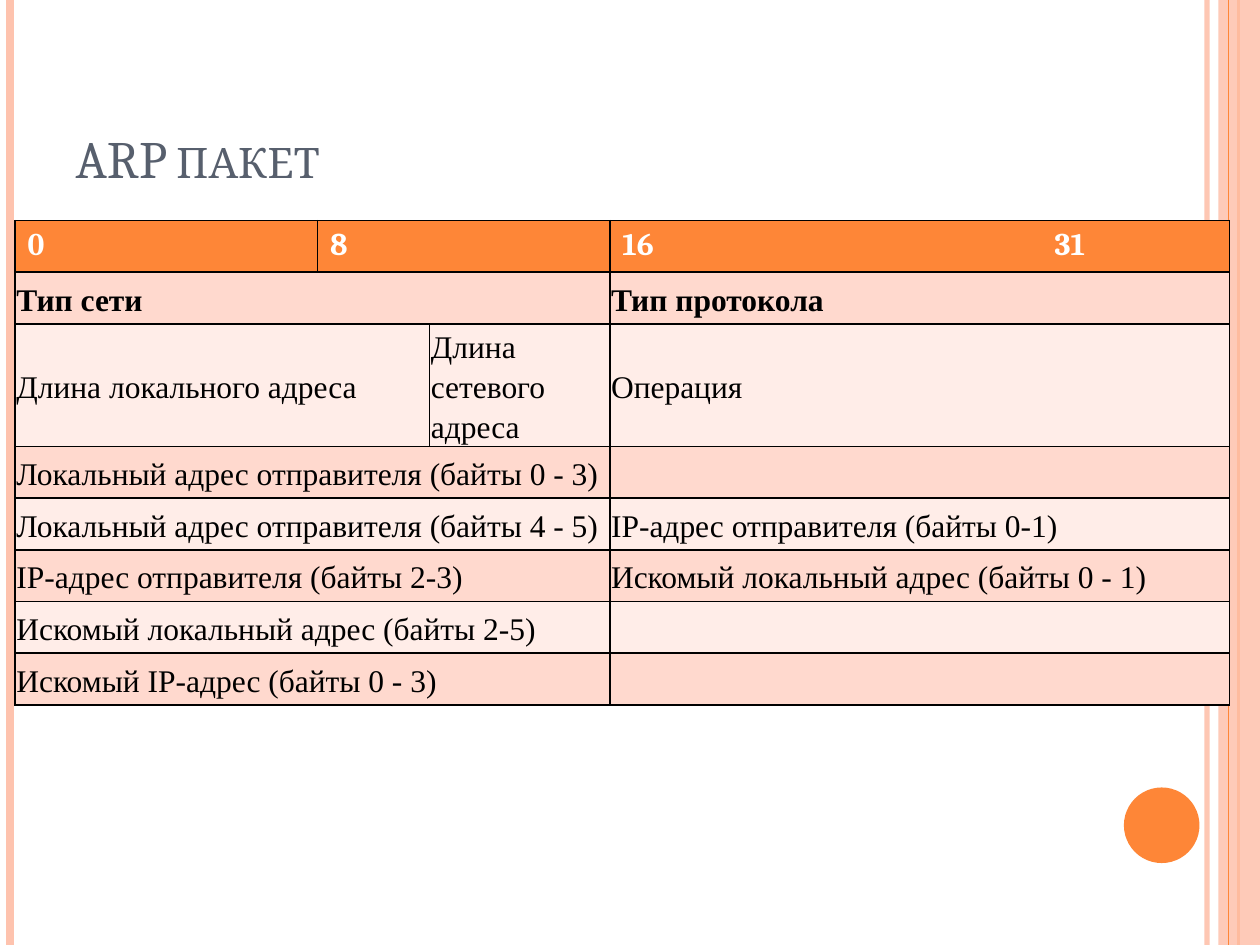
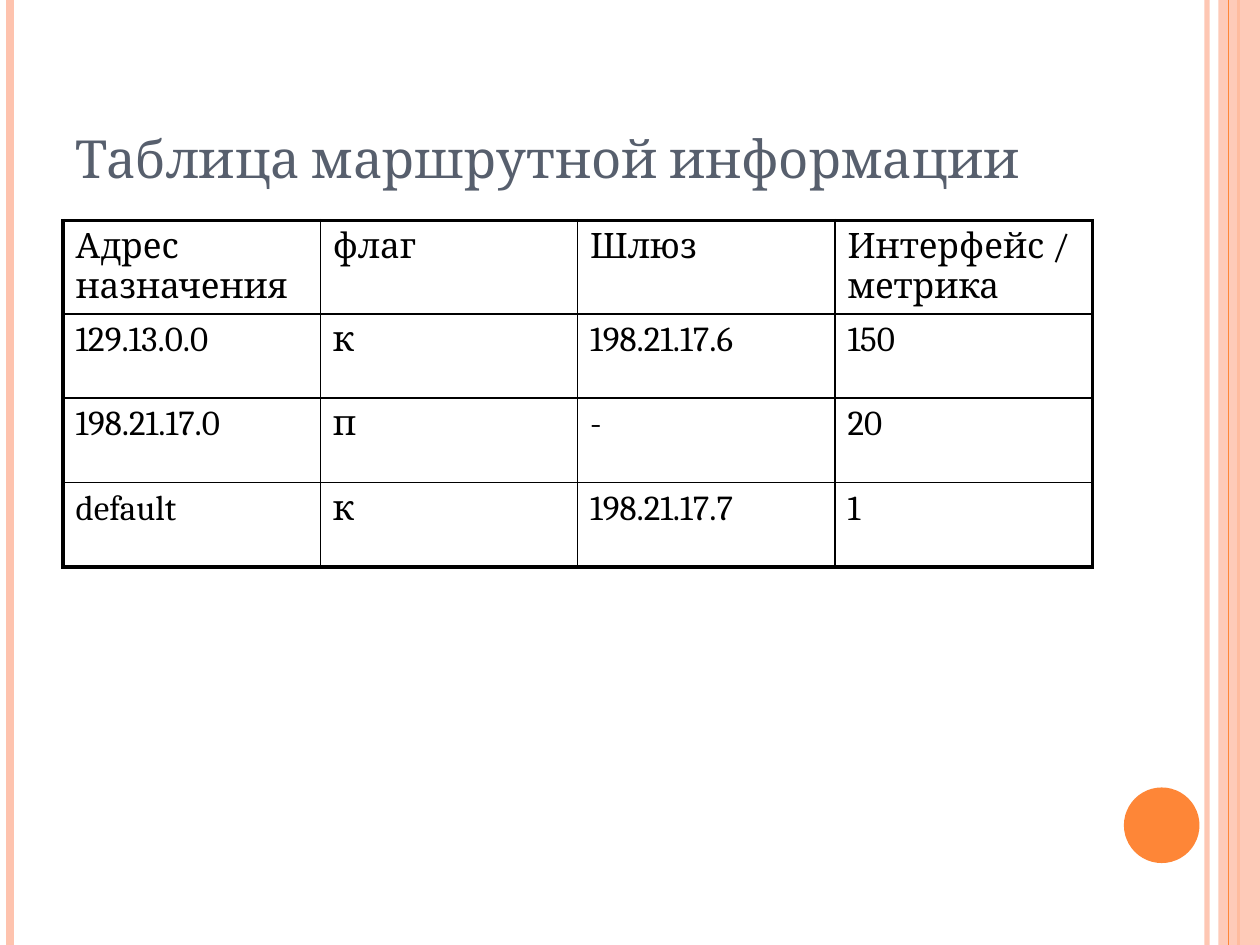
import dataclasses

import lxml.etree
import pptx
import pptx.dml.color
import pptx.enum.shapes
import pptx.enum.text
import pptx.oxml.ns
import pptx.util


@dataclasses.dataclass(frozen=True)
class Theme:
    accent: str = "FE8637"
    band: str = "FEC3AE"
    title: str = "575F6D"
    ink: str = "000000"
    paper: str = "FFFFFF"
    stripes: tuple = ("FFD9CE", "FFEDE8")
    heading_font: str = "Cambria"
    packet_font: str = "Times New Roman"
    title_size: int = 30
    packet_size: int = 18
    route_size: int = 20
    thin: float = 1
    thick: float = 2.25


THEME = Theme()
WIDTH, HEIGHT = 10, 7.5
TITLE_BOX = (0.5, 0.3, 8.17, 1.25)
TABLE_TOP = 1.75

VERTICAL_LINES = [
    (9.58, THEME.band, 3, 93),
    (0.08, THEME.band, 4.5, 100),
    (9.83, THEME.accent, 1.5, 100),
    (9.75, THEME.accent, 0.75, 100),
]
SIDE_BAND = (9.67, 0, 0.33, HEIGHT)
CIRCLE = (8.92, 6.25, 0.6, 0.6)

PACKET_TITLE = "ARP пакет"
PACKET_LEFT = 0.12
PACKET_COLUMNS = [2.4, 0.89, 1.43, 4.92]
PACKET_ROW, PACKET_TALL_ROW = 0.41, 0.97
BIT_31_TAB = 3.43
PACKET_ROWS = [
    [("0", 1), ("8", 2), ("16\t31", 1)],
    [("Тип сети", 3), ("Тип протокола", 1)],
    [("Длина локального адреса", 2), ("Длина сетевого адреса", 1), ("Операция", 1)],
    [("Локальный адрес отправителя (байты 0 - 3)", 3), ("", 1)],
    [("Локальный адрес отправителя (байты 4 - 5)", 3), ("IP-адрес отправителя (байты 0-1)", 1)],
    [("IP-адрес отправителя (байты 2-3)", 3), ("Искомый локальный адрес (байты 0 - 1)", 1)],
    [("Искомый локальный адрес (байты 2-5)", 3), ("", 1)],
    [("Искомый IP-адрес (байты 0 - 3)", 3), ("", 1)],
]

ROUTE_TITLE = "Таблица маршрутной информации"
ROUTE_ROW = 0.67
ROUTE_ROWS = [
    ["Адрес назначения", "флаг", "Шлюз", "Интерфейс /метрика"],
    ["129.13.0.0", "к", "198.21.17.6", "150"],
    ["198.21.17.0", "п", "-", "20"],
    ["default", "к", "198.21.17.7", "1"],
]


def inches(*lengths):
    return [pptx.util.Inches(length) for length in lengths]


def color(code):
    return pptx.dml.color.RGBColor.from_string(code)


def add_xml(parent, tag, **attributes):
    return lxml.etree.SubElement(parent, pptx.oxml.ns.qn(tag), attributes)


def set_opacity(shape, percent):
    for node in shape.element.spPr.iter(pptx.oxml.ns.qn("a:srgbClr")):
        add_xml(node, "a:alpha", val=str(percent * 1000))


def add_span(para, text, font, size, code, bold=False):
    span = para.add_run()
    span.text = text
    span.font.name = font
    span.font.size = pptx.util.Pt(size)
    span.font.bold = bold
    span.font.color.rgb = color(code)
    return span


def add_filled(page, kind, place, code):
    shape = page.shapes.add_shape(kind, *inches(*place))
    shape.shadow.inherit = False
    shape.fill.solid()
    shape.fill.fore_color.rgb = color(code)
    shape.line.fill.background()
    return shape


def add_vertical(page, x, code, weight, opacity):
    line = page.shapes.add_connector(
        pptx.enum.shapes.MSO_CONNECTOR.STRAIGHT, *inches(x, 0, x, HEIGHT))
    line.line.color.rgb = color(code)
    line.line.width = pptx.util.Pt(weight)
    add_xml(line.element.spPr, "a:effectLst")
    if opacity < 100:
        set_opacity(line, opacity)
    return line


def decorate_layout(layout, page):
    kinds = pptx.enum.shapes.MSO_SHAPE
    decor = [add_vertical(page, *line) for line in VERTICAL_LINES]
    band = add_filled(page, kinds.RECTANGLE, SIDE_BAND, THEME.band)
    set_opacity(band, 87)
    decor.insert(3, band)
    decor.append(add_filled(page, kinds.OVAL, CIRCLE, THEME.accent))
    for shape in decor:
        layout.shapes.element.append(shape.element)


def add_title(page, text, small_caps=False):
    box = page.shapes.title
    box.left, box.top, box.width, box.height = inches(*TITLE_BOX)
    frame = box.text_frame
    frame.word_wrap = True
    frame.auto_size = pptx.enum.text.MSO_AUTO_SIZE.NONE
    frame.vertical_anchor = pptx.enum.text.MSO_ANCHOR.BOTTOM
    para = frame.paragraphs[0]
    para.alignment = pptx.enum.text.PP_ALIGN.LEFT
    span = add_span(para, text, THEME.heading_font, THEME.title_size, THEME.title)
    if small_caps:
        span.font._element.set("cap", "small")


def add_grid(page, left, columns, rows):
    place = inches(left, TABLE_TOP, sum(columns), sum(rows))
    table = page.shapes.add_table(len(rows), len(columns), *place).table
    table.first_row = table.horz_banding = False
    for column, width in zip(table.columns, columns):
        column.width = pptx.util.Inches(width)
    for row, height in zip(table.rows, rows):
        row.height = pptx.util.Inches(height)
    return table


def set_borders(cell, left=THEME.thin, right=THEME.thin, top=THEME.thin, bottom=THEME.thin):
    properties = cell._tc.get_or_add_tcPr()
    for side, weight in zip("LRTB", (left, right, top, bottom)):
        edge = add_xml(properties, f"a:ln{side}", w=str(pptx.util.Pt(weight)))
        add_xml(add_xml(edge, "a:solidFill"), "a:srgbClr", val=THEME.ink)


def fill_packet_cell(cell, text, row):
    para = cell.text_frame.paragraphs[0]
    if row == 0:
        if "\t" in text:
            tabs = add_xml(para._p.get_or_add_pPr(), "a:tabLst")
            add_xml(tabs, "a:tab", pos=str(pptx.util.Inches(BIT_31_TAB)), algn="l")
        add_span(para, text, THEME.heading_font, THEME.packet_size, THEME.paper, True)
        return
    cell.vertical_anchor = pptx.enum.text.MSO_ANCHOR.MIDDLE
    cell.margin_left = cell.margin_right = pptx.util.Inches(0.01)
    cell.margin_top = cell.margin_bottom = pptx.util.Inches(0.01)
    para.line_spacing = 1.15
    if text:
        add_span(para, text, THEME.packet_font, THEME.packet_size, THEME.ink, row == 1)


def build_packet(page):
    add_title(page, PACKET_TITLE, small_caps=True)
    heights = [PACKET_TALL_ROW if row == 2 else PACKET_ROW for row in range(len(PACKET_ROWS))]
    table = add_grid(page, PACKET_LEFT, PACKET_COLUMNS, heights)
    for row, fields in enumerate(PACKET_ROWS):
        for column in range(len(PACKET_COLUMNS)):
            cell = table.cell(row, column)
            set_borders(cell)
            cell.fill.solid()
            cell.fill.fore_color.rgb = color(THEME.stripes[(row + 1) % 2] if row else THEME.accent)
        column = 0
        for text, span in fields:
            cell = table.cell(row, column)
            if span > 1:
                cell.merge(table.cell(row, column + span - 1))
            fill_packet_cell(cell, text, row)
            column += span


def build_routes(page):
    add_title(page, ROUTE_TITLE)
    count = len(ROUTE_ROWS[0])
    left, width = TITLE_BOX[0], TITLE_BOX[2]
    table = add_grid(page, left, [width / count] * count, [ROUTE_ROW] * len(ROUTE_ROWS))
    last_row, last_column = len(ROUTE_ROWS) - 1, count - 1

    def weight(outer):
        return THEME.thick if outer else THEME.thin

    for row, values in enumerate(ROUTE_ROWS):
        for column, text in enumerate(values):
            cell = table.cell(row, column)
            set_borders(cell, weight(column == 0), weight(column == last_column),
                        weight(row == 0), weight(row == last_row))
            cell.fill.background()
            add_span(cell.text_frame.paragraphs[0], text,
                     THEME.heading_font, THEME.route_size, THEME.ink)


def main():
    deck = pptx.Presentation()
    deck.slide_width, deck.slide_height = inches(WIDTH, HEIGHT)
    layout = deck.slide_layouts.get_by_name("Title Only")
    packet, routes = [deck.slides.add_slide(layout) for _ in range(2)]
    decorate_layout(layout, packet)
    build_packet(packet)
    build_routes(routes)
    deck.save("out.pptx")


if __name__ == "__main__":
    main()
